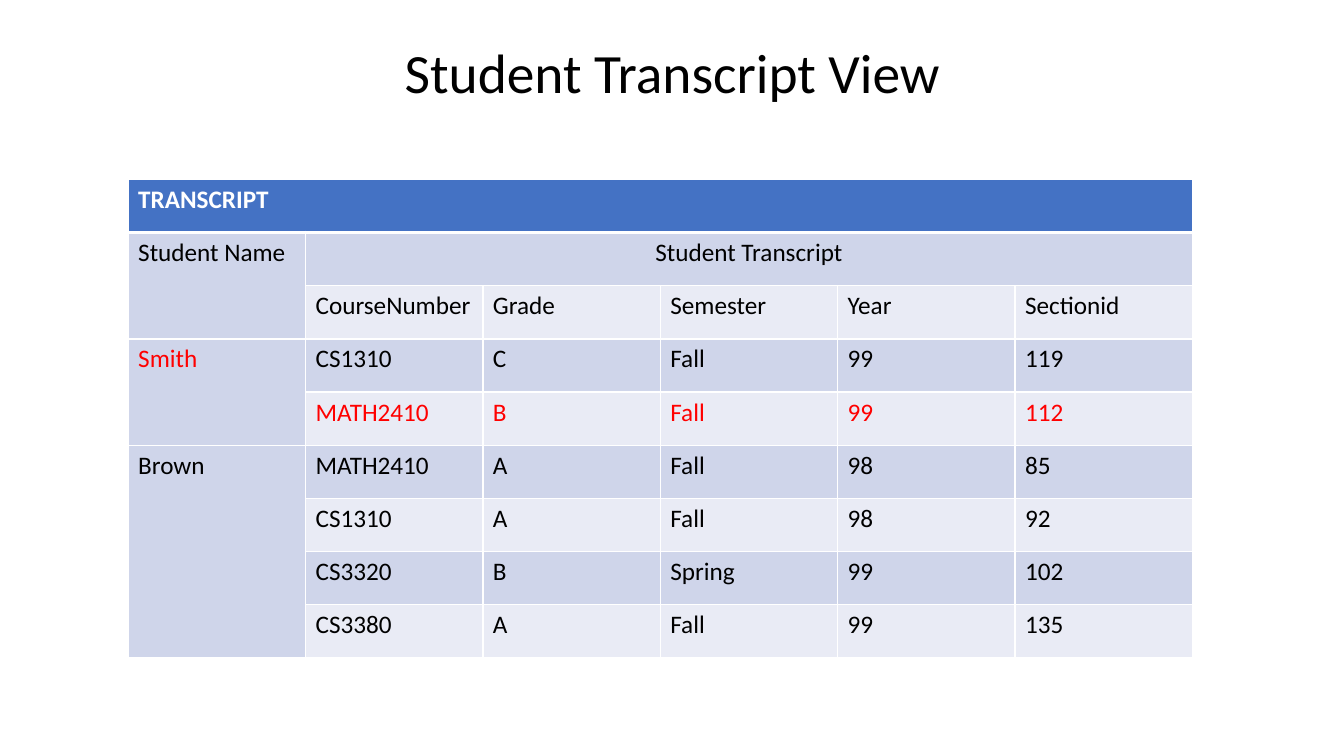
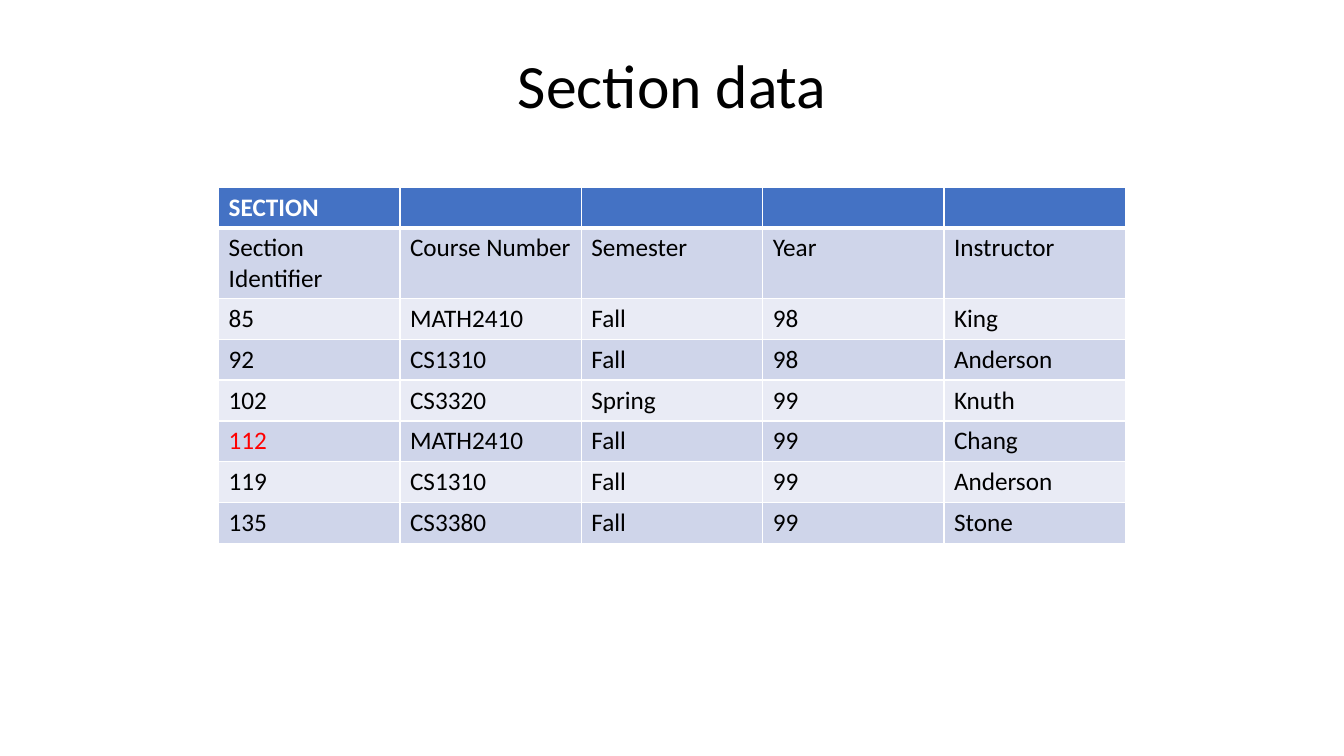
"""Build two slides that show a transcript table and a section table."""
from lxml.etree import SubElement
from pptx import Presentation
from pptx.dml.color import RGBColor
from pptx.enum.text import MSO_ANCHOR, PP_ALIGN
from pptx.oxml.ns import qn
from pptx.util import Cm, Pt

WHITE = RGBColor(0xFF, 0xFF, 0xFF)
BLACK = RGBColor(0x00, 0x00, 0x00)
RED = RGBColor(0xFF, 0x00, 0x00)
BLUE = RGBColor(0x44, 0x72, 0xC4)
BANDS = (RGBColor(0xE9, 0xEB, 0xF5), RGBColor(0xCF, 0xD5, 0xEA))
FONT = "Calibri"

SLIDES = [
    {
        "title": "Student Transcript View",
        "title_size": 39.6,
        "title_height": 1.8,
        "left": 3.23,
        "top": 4.52,
        "col_width": 4.47,
        "row_heights": [1.34] * 9,
        "rows": [
            ("TRANSCRIPT", "", "", "", "", ""),
            ("Student Name", "Student Transcript", "", "", "", ""),
            ("", "CourseNumber", "Grade", "Semester", "Year", "Sectionid"),
            ("Smith", "CS1310", "C", "Fall", "99", "119"),
            ("", "MATH2410", "B", "Fall", "99", "112"),
            ("Brown", "MATH2410", "A", "Fall", "98", "85"),
            ("", "CS1310", "A", "Fall", "98", "92"),
            ("", "CS3320", "B", "Spring", "99", "102"),
            ("", "CS3380", "A", "Fall", "99", "135"),
        ],
        "merges": [
            ((0, 0), (0, 5)),
            ((1, 0), (2, 0)),
            ((1, 1), (1, 5)),
            ((3, 0), (4, 0)),
            ((5, 0), (8, 0)),
        ],
        "centred": {(1, 1)},
        "red": {(3, 0), (4, 1), (4, 2), (4, 3), (4, 4), (4, 5)},
    },
    {
        "title": "Section data",
        "title_size": 44,
        "title_height": 2.46,
        "left": 5.51,
        "top": 4.72,
        "col_width": 4.57,
        "row_heights": [1, 1.78] + [1.03] * 6,
        "rows": [
            ("SECTION", "", "", "", ""),
            ("Section Identifier", "Course Number", "Semester", "Year", "Instructor"),
            ("85", "MATH2410", "Fall", "98", "King"),
            ("92", "CS1310", "Fall", "98", "Anderson"),
            ("102", "CS3320", "Spring", "99", "Knuth"),
            ("112", "MATH2410", "Fall", "99", "Chang"),
            ("119", "CS1310", "Fall", "99", "Anderson"),
            ("135", "CS3380", "Fall", "99", "Stone"),
        ],
        "merges": [],
        "centred": set(),
        "red": {(5, 0)},
    },
]


def style_text(p, size, color, bold=False):
    for r in p.runs:
        r.font.name = FONT
        r.font.size = Pt(size)
        r.font.bold = bold
        r.font.color.rgb = color


def add_title(s, text, size, height):
    sp = s.shapes.add_textbox(Cm(2.34), Cm(1), Cm(29.21), Cm(height))
    tf = sp.text_frame
    tf.word_wrap = True
    tf.vertical_anchor = MSO_ANCHOR.MIDDLE
    tf.text = text
    p = tf.paragraphs[0]
    p.alignment = PP_ALIGN.CENTER
    p.line_spacing = 0.9
    style_text(p, size, BLACK)


def add_borders(cell, row):
    widths = {"L": 1, "R": 1, "T": 3 if row == 1 else 1, "B": 3 if row == 0 else 1}
    props = cell._tc.get_or_add_tcPr()
    for side, width in widths.items():
        line = SubElement(props, qn(f"a:ln{side}"), w=str(Pt(width)))
        fill = SubElement(line, qn("a:solidFill"))
        SubElement(fill, qn("a:srgbClr"), val=str(WHITE))


def style_cell(cell, row, text, color, centred):
    header = row == 0
    add_borders(cell, row)
    cell.fill.solid()
    cell.fill.fore_color.rgb = BLUE if header else BANDS[row % 2]
    if text:
        cell.text_frame.text = text
        p = cell.text_frame.paragraphs[0]
        p.alignment = PP_ALIGN.CENTER if centred else PP_ALIGN.LEFT
        style_text(p, 18, WHITE if header else color, header)


def add_grid(s, data):
    rows, heights = data["rows"], data["row_heights"]
    n_cols = len(rows[0])
    frame = s.shapes.add_table(
        len(rows), n_cols, Cm(data["left"]), Cm(data["top"]),
        Cm(data["col_width"] * n_cols), Cm(sum(heights)),
    )
    table = frame.table
    for column in table.columns:
        column.width = Cm(data["col_width"])
    for row, height in zip(table.rows, heights):
        row.height = Cm(height)
    for i, texts in enumerate(rows):
        for j, text in enumerate(texts):
            color = RED if (i, j) in data["red"] else BLACK
            style_cell(table.cell(i, j), i, text, color, (i, j) in data["centred"])
    for first, last in data["merges"]:
        table.cell(*first).merge(table.cell(*last))


def main():
    prs = Presentation()
    prs.slide_width, prs.slide_height = Cm(33.87), Cm(19.05)
    for data in SLIDES:
        s = prs.slides.add_slide(prs.slide_layouts[6])
        add_title(s, data["title"], data["title_size"], data["title_height"])
        add_grid(s, data)
    prs.save("out.pptx")


if __name__ == "__main__":
    main()
